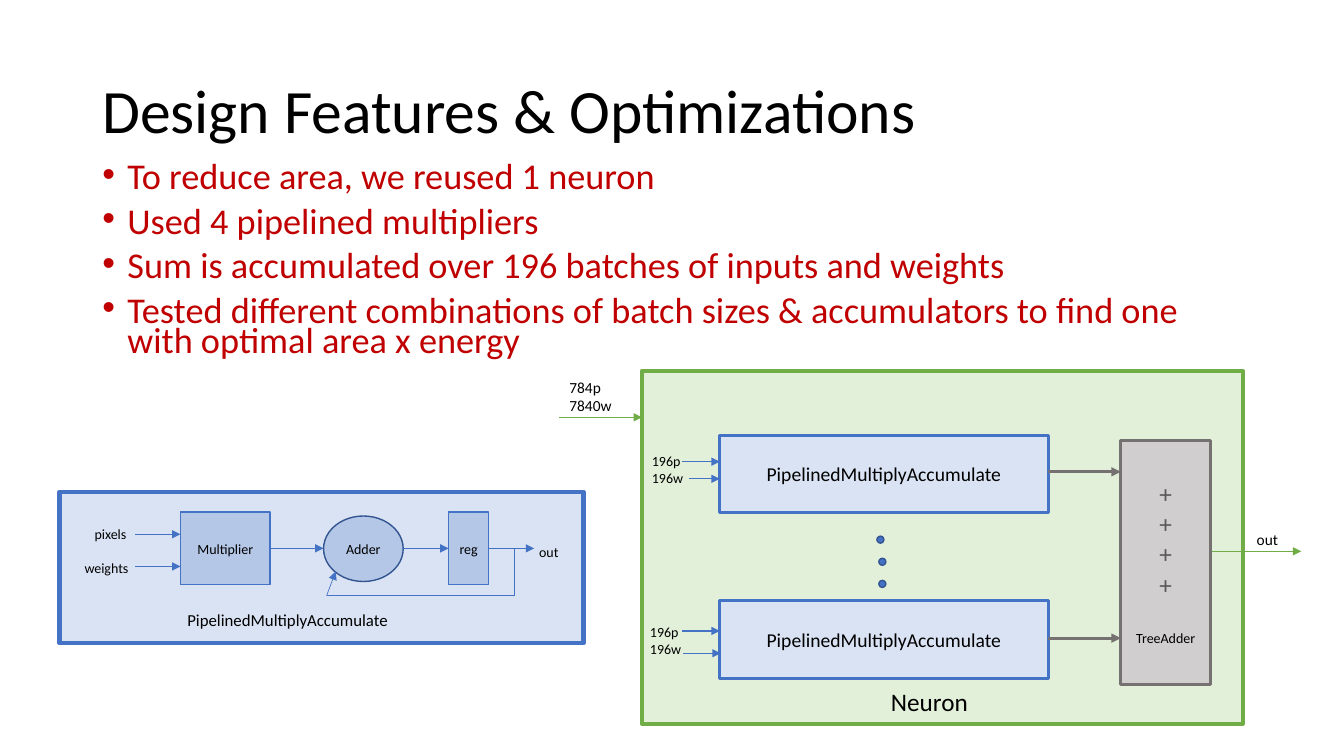
from dataclasses import dataclass

from lxml.etree import SubElement
from pptx import Presentation
from pptx.dml.color import RGBColor
from pptx.enum.shapes import MSO_CONNECTOR, MSO_SHAPE
from pptx.enum.text import MSO_ANCHOR, PP_ALIGN
from pptx.oxml.ns import qn
from pptx.util import Pt


@dataclass(frozen=True)
class Theme:
    """Colours, type sizes and font of the slide."""
    font: str = "Calibri"
    black: str = "000000"
    red: str = "C00000"
    blue: str = "4472C4"
    navy: str = "325491"
    pale_blue: str = "DAE3F3"
    mid_blue: str = "B4C7E7"
    green: str = "70AD47"
    pale_green: str = "E2F0D9"
    grey: str = "767171"
    pale_grey: str = "D0CECE"
    plus_grey: str = "595959"
    title: float = 44
    bullets: float = 25.9
    heading: float = 18
    block: float = 14
    caption: float = 12
    port: float = 11
    small: float = 10


THEME = Theme()
UNIT = "PipelinedMultiplyAccumulate"


def write(frame, lines, *, size=THEME.small, color=THEME.black,
          align=PP_ALIGN.LEFT, anchor=MSO_ANCHOR.TOP, spacing=None,
          before=0, bullet=False):
    """Fill a text frame with one formatted paragraph per line."""
    frame.word_wrap = True
    frame.vertical_anchor = anchor
    for index, line in enumerate(lines):
        paragraph = frame.paragraphs[0] if index == 0 else frame.add_paragraph()
        paragraph.alignment = align
        paragraph.space_before = Pt(before)
        if spacing:
            paragraph.line_spacing = spacing
        if bullet:
            add_bullet(paragraph, color)
        run = paragraph.add_run()
        run.text = line
        run.font.name = THEME.font
        run.font.size = Pt(size)
        run.font.color.rgb = RGBColor.from_string(color)


def add_bullet(paragraph, color):
    """Give a paragraph a hanging coloured bullet."""
    properties = paragraph._p.get_or_add_pPr()
    properties.set("marL", str(Pt(18)))
    properties.set("indent", str(Pt(-18)))
    bullet_color = SubElement(properties, qn("a:buClr"))
    SubElement(bullet_color, qn("a:srgbClr"), val=color)
    SubElement(properties, qn("a:buFont"), typeface="Arial")
    SubElement(properties, qn("a:buChar"), char="•")


def add_label(slide, left, top, width, height, *lines, **style):
    """Add free-standing text."""
    label = slide.shapes.add_textbox(Pt(left), Pt(top), Pt(width), Pt(height))
    write(label.text_frame, lines, **style)


def add_block(slide, left, top, width, height, fill, line, weight, *lines,
              outline=MSO_SHAPE.RECTANGLE, **style):
    """Add a filled block with centred text."""
    block = slide.shapes.add_shape(outline, Pt(left), Pt(top), Pt(width), Pt(height))
    block.shadow.inherit = False
    block.fill.solid()
    block.fill.fore_color.rgb = RGBColor.from_string(fill)
    block.line.color.rgb = RGBColor.from_string(line)
    block.line.width = Pt(weight)
    frame = block.text_frame
    frame.margin_left = frame.margin_right = 0
    write(frame, lines, align=PP_ALIGN.CENTER, anchor=MSO_ANCHOR.MIDDLE, **style)
    return block


def add_wire(slide, start, end, color=THEME.blue, weight=1, arrow=True):
    """Add a straight wire, with an arrowhead at its end if wanted."""
    wire = slide.shapes.add_connector(
        MSO_CONNECTOR.STRAIGHT, *(Pt(value) for value in (*start, *end)))
    wire.line.color.rgb = RGBColor.from_string(color)
    wire.line.width = Pt(weight)
    if arrow:
        SubElement(wire.line._get_or_add_ln(), qn("a:tailEnd"), type="triangle")
    SubElement(wire._element.spPr, qn("a:effectLst"))


def add_heading(slide):
    """Add the title and the bullet list."""
    add_label(slide, 66, 28.8, 828, 104.4, "Design Features & Optimizations",
              size=THEME.title, anchor=MSO_ANCHOR.MIDDLE, spacing=0.9)
    add_label(slide, 66, 114.5, 828, 146.9,
              "To reduce area, we reused 1 neuron",
              "Used 4 pipelined multipliers",
              "Sum is accumulated over 196 batches of inputs and weights",
              "Tested different combinations of batch sizes & accumulators "
              "to find one with optimal area x energy",
              size=THEME.bullets, color=THEME.red, spacing=0.7, before=10,
              bullet=True)


def add_accumulator(slide):
    """Add the detail of one multiply-accumulate unit."""
    add_block(slide, 42.5, 351.4, 374.4, 108, THEME.pale_blue, THEME.blue, 3)
    for name, left, top, width, height, line, outline in (
            ("Multiplier", 128.9, 365.8, 64.1, 51.8, THEME.blue, MSO_SHAPE.RECTANGLE),
            ("Adder", 231.1, 368.6, 56.9, 46.8, THEME.navy, MSO_SHAPE.OVAL),
            ("reg", 320.4, 365.8, 28.8, 51.8, THEME.blue, MSO_SHAPE.RECTANGLE)):
        add_block(slide, left, top, width, height, THEME.mid_blue, line, 1, name,
                  outline=outline)

    axis = 391.7
    for start, end in ((193, 231.1), (288, 320.4), (349.2, 381.6)):
        add_wire(slide, (start, axis), (end, axis), weight=0.5)
    for name, left, top, wire_y in (("pixels", 60.5, 372.2, 381.6),
                                    ("weights", 53.3, 396, 404.6)):
        add_wire(slide, (96.5, wire_y), (128.9, wire_y), weight=0.5)
        add_label(slide, left, top, 49, 14.4, name)
    add_label(slide, 378, 384.5, 35.3, 14.4, "out")

    feedback = [(367.2, axis), (367.2, 425.5), (233.3, 425.5), (239.8, 408.2)]
    for start, end in zip(feedback, feedback[1:]):
        add_wire(slide, start, end, weight=0.5, arrow=end == feedback[-1])
    add_label(slide, 126.7, 432, 234, 21.6, UNIT, size=THEME.caption)


def add_lane(slide, top, output_y, inputs, label_left, label_top):
    """Add one unit of the neuron with its inputs and output."""
    add_block(slide, 514.1, top, 234.7, 55.4, THEME.pale_blue, THEME.blue, 2.25,
              UNIT, size=THEME.block)
    add_wire(slide, (748.8, output_y), (800.6, output_y), THEME.grey, 2.25)
    for start, end, wire_y in inputs:
        add_wire(slide, (start, wire_y), (end, wire_y))
    add_label(slide, label_left, label_top, 38.9, 31.7, "196p", "196w")


def add_tree_adder(slide):
    """Add the tree adder, with its name set apart below the plus signs."""
    adder = add_block(slide, 800.6, 314.6, 64.1, 174.2, THEME.pale_grey,
                      THEME.grey, 2.25, *"++++", "TreeAdder",
                      size=THEME.heading, color=THEME.plus_grey)
    name = adder.text_frame.paragraphs[-1]
    name.space_before = Pt(22)
    name.runs[0].font.size = Pt(THEME.small)
    name.runs[0].font.color.rgb = RGBColor.from_string(THEME.black)


def add_neuron(slide):
    """Add the neuron with its lanes, adder and ports."""
    add_block(slide, 458.6, 265, 429.1, 252, THEME.pale_green, THEME.green, 3)
    add_lane(slide, 311, 337, ((487.4, 514.1, 329.8), (492.5, 514.1, 342)),
             458.6, 319.7)
    add_lane(slide, 429.1, 455.8, ((487.4, 514.1, 450.7), (488.2, 514.8, 466.6)),
             457.2, 442.1)
    for index, left in enumerate((626.4, 627.8, 627.8)):
        add_block(slide, left, 383 + 15.8 * index, 5, 5, THEME.blue, THEME.navy, 1,
                  outline=MSO_SHAPE.OVAL)
    add_tree_adder(slide)
    add_label(slide, 629.3, 486.7, 111.6, 29, "Neuron", size=THEME.heading)
    add_wire(slide, (399.6, 298.1), (458.6, 298.1), THEME.green)
    add_label(slide, 399.6, 266.4, 113, 33.8, "784p", "7840w", size=THEME.port)
    add_wire(slide, (865.4, 393.8), (929.5, 393.8), THEME.green)
    add_label(slide, 890.6, 375.1, 60, 20.9, "out", size=THEME.port)


def main():
    """Build and save the slide."""
    deck = Presentation()
    deck.slide_width, deck.slide_height = Pt(960), Pt(540)
    slide = deck.slides.add_slide(deck.slide_layouts[6])
    add_heading(slide)
    add_accumulator(slide)
    add_neuron(slide)
    deck.save("out.pptx")


if __name__ == "__main__":
    main()
